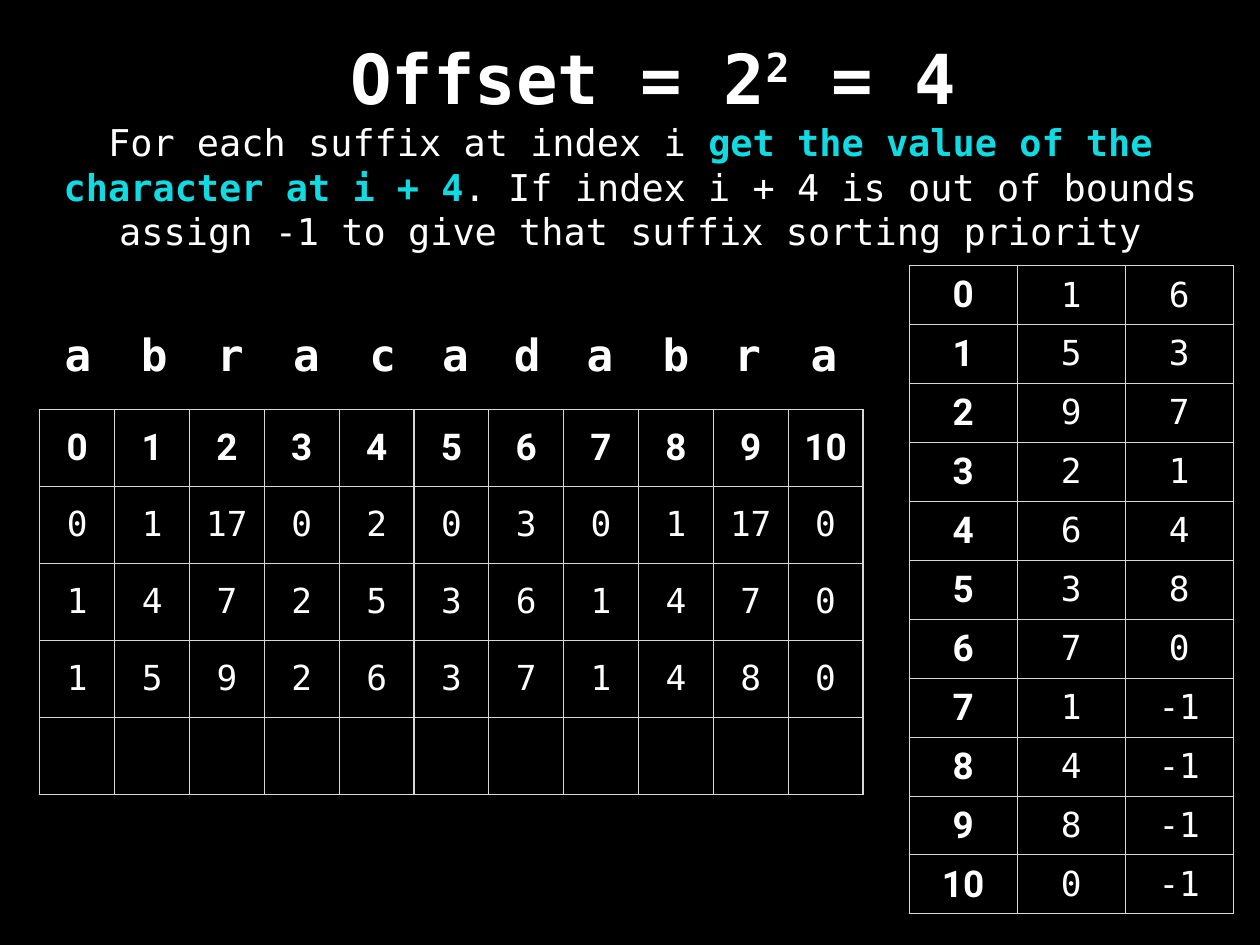
from lxml import etree
from pptx import Presentation
from pptx.dml.color import RGBColor
from pptx.enum.text import MSO_ANCHOR as Anchor, MSO_AUTO_SIZE as AutoSize, PP_ALIGN as Align
from pptx.oxml.ns import qn
from pptx.util import Inches, Pt

MONO, HEADING = "DejaVu Sans Mono", "Roboto"
WHITE, BLACK, CYAN, GRID = "FFFFFF", "000000", "11DBE2", "D6D7D6"
INSET = 0.06

WORD = "abracadabra"
LETTER_LEFTS = [0.67, 1.53, 2.39, 3.25, 4.11, 4.93, 5.74, 6.56, 7.42, 8.23, 9.09]
OFFSET = 4
CODES = [0, 1, 17, 0, 2, 0, 3, 0, 1, 17, 0]
PAIR_RANKS = [1, 4, 7, 2, 5, 3, 6, 1, 4, 7, 0]
RANKS = [1, 5, 9, 2, 6, 3, 7, 1, 4, 8, 0]


def color(value):
    return RGBColor.from_string(value)


def style(span, size, font=MONO, fill=WHITE, bold=False):
    span.font.size = Pt(size)
    span.font.name = font
    span.font.bold = bold
    span.font.color.rgb = color(fill)


def set_frame(frame, wrap=True):
    frame.margin_left = frame.margin_right = Inches(INSET)
    frame.margin_top = frame.margin_bottom = Inches(INSET)
    frame.vertical_anchor = Anchor.MIDDLE
    frame.word_wrap = wrap
    frame.auto_size = AutoSize.SHAPE_TO_FIT_TEXT


def add_span(para, text, size, **look):
    span = para.add_run()
    span.text = text
    style(span, size, **look)
    return span


def add_title(page, left, top, width, height):
    title = page.shapes.title
    title.left, title.top = Inches(left), Inches(top)
    title.width, title.height = Inches(width), Inches(height)
    set_frame(title.text_frame)
    para = title.text_frame.paragraphs[0]
    para.alignment = Align.CENTER
    add_span(para, "Offset = 2", 56, bold=True)
    exponent = add_span(para, "2", 56, bold=True)
    exponent.font._element.set("baseline", "32000")
    add_span(para, " = 4", 56, bold=True)


def add_explanation(page, left, top, width, height):
    box = page.shapes.add_textbox(Inches(left), Inches(top), Inches(width), Inches(height))
    set_frame(box.text_frame)
    para = box.text_frame.paragraphs[0]
    para.alignment = Align.CENTER
    add_span(para, "For each suffix at index i ", 30)
    add_span(para, "get the value of the character at i + 4", 30, fill=CYAN, bold=True)
    add_span(para, ". If index i + 4 is out of bounds assign -1 "
                   "to give that suffix sorting priority", 30)


def add_letters(page, top, width, height):
    for letter, left in zip(WORD, LETTER_LEFTS):
        box = page.shapes.add_textbox(Inches(left), Inches(top), Inches(width), Inches(height))
        set_frame(box.text_frame, wrap=False)
        add_span(box.text_frame.paragraphs[0], letter, 36, bold=True)


def add_borders(cell):
    properties = cell._tc.get_or_add_tcPr()
    for side in ("lnL", "lnR", "lnT", "lnB"):
        line = etree.SubElement(properties, qn(f"a:{side}"), w=str(Pt(1)))
        fill = etree.SubElement(line, qn("a:solidFill"))
        etree.SubElement(fill, qn("a:srgbClr"), val=GRID)


def add_grid(page, left, top, width, height, rows, is_heading):
    """Draw rows of values; is_heading(row, column) picks the bold index cells."""
    table = page.shapes.add_table(len(rows), len(rows[0]), Inches(left), Inches(top),
                                  Inches(width), Inches(height)).table
    table.first_row = table.horz_banding = False
    for r, values in enumerate(rows):
        for c, value in enumerate(values):
            cell = table.cell(r, c)
            cell.margin_left = cell.margin_right = Inches(INSET)
            cell.margin_top = cell.margin_bottom = Inches(INSET)
            cell.vertical_anchor = Anchor.MIDDLE
            add_borders(cell)
            cell.fill.background()
            para = cell.text_frame.paragraphs[0]
            para.alignment = Align.CENTER
            if value == "":
                continue
            if is_heading(r, c):
                add_span(para, str(value), 30, font=HEADING, bold=True)
            else:
                add_span(para, str(value), 28)


def add_rank_history(page, left, top, width, height):
    rows = [range(len(WORD)), CODES, PAIR_RANKS, RANKS, [""] * len(WORD)]
    add_grid(page, left, top, width, height, rows, lambda r, c: r == 0)


def add_rank_pairs(page, left, top, width, height):
    """List each index with its rank and the rank found OFFSET places later."""
    shifted = RANKS[OFFSET:] + [-1] * OFFSET
    rows = list(zip(range(len(WORD)), RANKS, shifted))
    add_grid(page, left, top, width, height, rows, lambda r, c: c == 0)


def main():
    deck = Presentation()
    deck.slide_width, deck.slide_height = Inches(14.22), Inches(10.67)
    page = deck.slides.add_slide(deck.slide_layouts[5])
    page.background.fill.solid()
    page.background.fill.fore_color.rgb = color(BLACK)
    add_title(page, 2.36, 0.36, 10.02, 1.01)
    add_rank_history(page, 0.45, 4.62, 9.29, 4.35)
    add_letters(page, 3.66, 0.43, 0.68)
    add_rank_pairs(page, 10.26, 3, 3.66, 7.32)
    add_explanation(page, 0.57, 1.32, 13.09, 1.57)
    deck.save("out.pptx")


if __name__ == "__main__":
    main()
